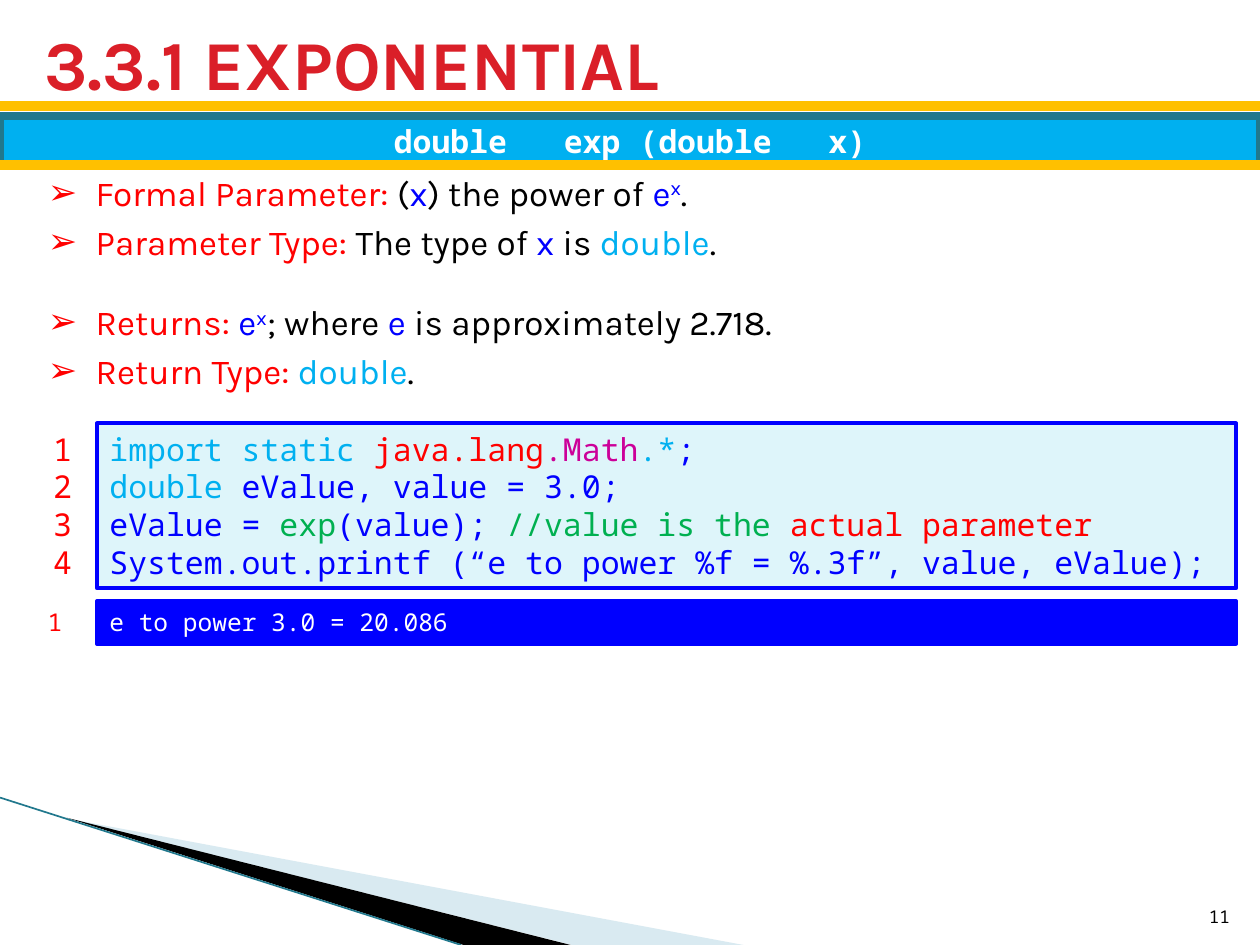
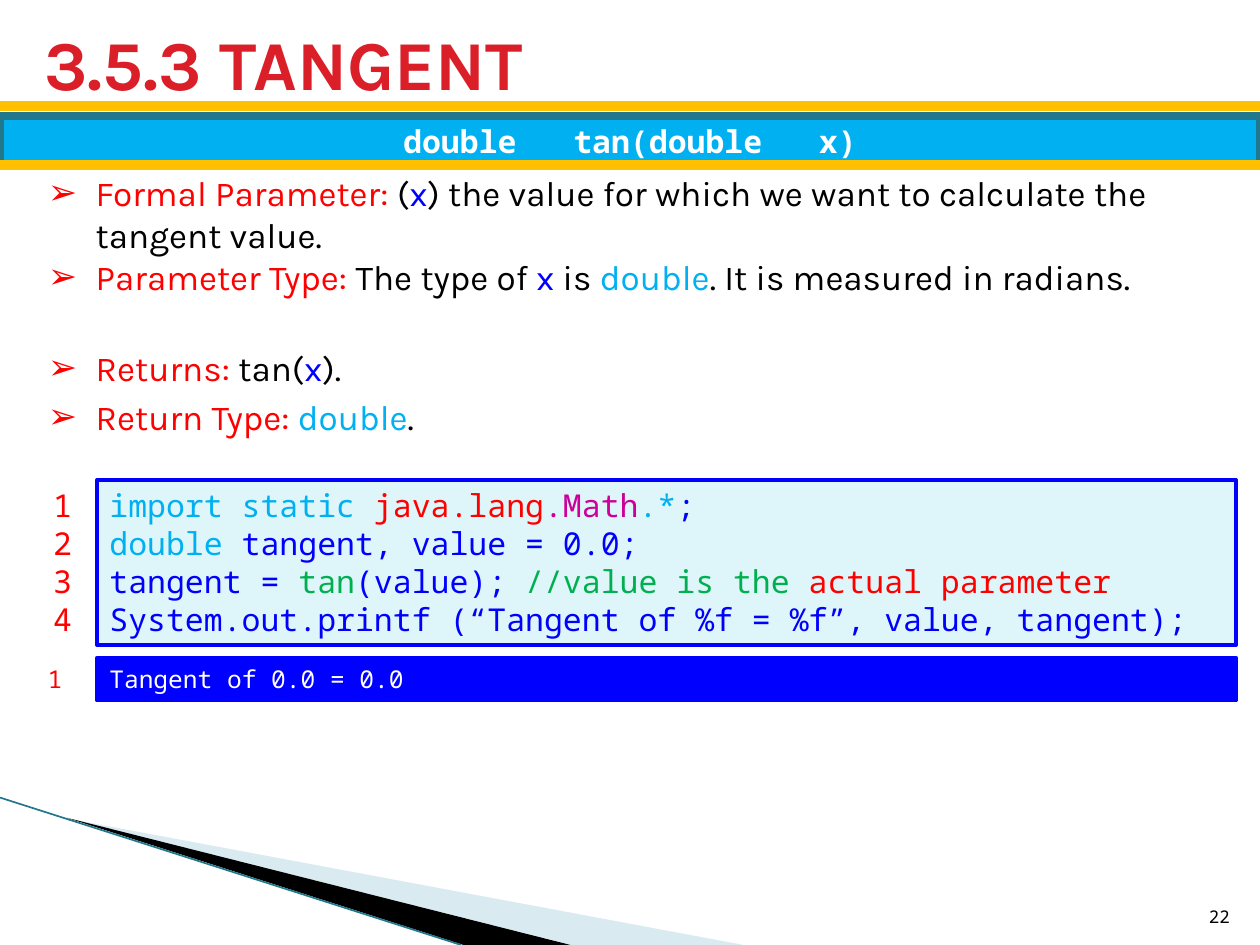
from dataclasses import dataclass

from lxml.etree import SubElement
from pptx import Presentation
from pptx.dml.color import RGBColor
from pptx.enum.shapes import MSO_CONNECTOR as Connector, MSO_SHAPE as Shape
from pptx.enum.text import MSO_ANCHOR as Anchor, MSO_AUTO_SIZE as AutoSize, PP_ALIGN as Align
from pptx.oxml.ns import qn
from pptx.util import Inches, Pt


@dataclass(frozen=True)
class Theme:
    red: str = "FF0000"
    blue: str = "0000FF"
    sky: str = "00B0F0"
    green: str = "00B050"
    purple: str = "CC0099"
    black: str = "000000"
    white: str = "FFFFFF"
    title: str = "DA1F28"
    gold: str = "FFC000"
    teal: str = "21788D"
    code_fill: str = "DEF5FA"
    wedge: str = "A0CBDC"
    heading_font: str = "Karla"
    code_font: str = "Noto Sans Mono"
    title_size: int = 40
    body_size: int = 20
    code_size: int = 18
    output_size: int = 14
    number_size: int = 10


THEME = Theme()
SLIDE_WIDTH, SLIDE_HEIGHT = 10, 7.5


def rgb(value):
    return RGBColor.from_string(value)


def inches(*lengths):
    return [Inches(length) for length in lengths]


def add_spans(para, spans, font, size, bold=False):
    for text, color, *raised in spans:
        span = para.add_run()
        span.text = text
        span.font.name = font
        span.font.size = Pt(size)
        span.font.bold = bold
        span.font.color.rgb = rgb(color)
        if raised:
            span._r.get_or_add_rPr().set("baseline", "30000")


def write_text(box, paragraphs, font=THEME.code_font, size=THEME.code_size, bold=False,
               align=Align.LEFT, anchor=Anchor.TOP, gaps=None, bullet=None):
    frame = box.text_frame
    frame.word_wrap = True
    frame.auto_size = AutoSize.NONE
    frame.vertical_anchor = anchor
    for index, spans in enumerate(paragraphs):
        para = frame.add_paragraph() if index else frame.paragraphs[0]
        if bullet:
            add_bullet(para, bullet)
        para.alignment = align
        para.space_before = Pt(gaps[index] if gaps else 0)
        add_spans(para, spans, font, size, bold)


def add_bullet(para, symbol, indent=0.38):
    properties = para._p.get_or_add_pPr()
    properties.set("marL", str(Inches(indent)))
    properties.set("indent", str(-Inches(indent)))
    color = SubElement(properties, qn("a:buClr"))
    SubElement(color, qn("a:srgbClr")).set("val", THEME.red)
    SubElement(properties, qn("a:buChar")).set("char", symbol)


def add_line(page, start, end, color, width):
    line = page.shapes.add_connector(Connector.STRAIGHT, *inches(*start, *end))
    line.line.color.rgb = rgb(color)
    line.line.width = Pt(width)
    SubElement(line._element.spPr, qn("a:effectLst"))


def add_panel(shapes, place, fill, border, border_width):
    panel = shapes.add_shape(Shape.RECTANGLE, *inches(*place))
    panel.shadow.inherit = False
    panel.fill.solid()
    panel.fill.fore_color.rgb = rgb(fill)
    panel.line.color.rgb = rgb(border)
    panel.line.width = Pt(border_width)
    return panel


def add_wedge(page, points, color, opacity=100):
    start, *rest = [tuple(inches(*point)) for point in points]
    builder = page.shapes.build_freeform(*start)
    builder.add_line_segments(rest, close=True)
    wedge = builder.convert_to_shape()
    wedge.shadow.inherit = False
    wedge.line.fill.background()
    wedge.fill.solid()
    wedge.fill.fore_color.rgb = rgb(color)
    if opacity < 100:
        color_node = wedge._element.spPr.find(qn("a:solidFill"))[0]
        SubElement(color_node, qn("a:alpha")).set("val", str(opacity * 1000))


def add_corner_decoration(page):
    add_wedge(page, [(0.55, 6.5), (5.9, SLIDE_HEIGHT), (4.54, SLIDE_HEIGHT)], THEME.wedge, 40)
    add_wedge(page, [(0.53, 6.49), (4.53, SLIDE_HEIGHT), (3.68, SLIDE_HEIGHT)], THEME.black)
    add_line(page, (0, 6.33), (3.66, SLIDE_HEIGHT), THEME.teal, 0.95)


def place(box, left, top, width, height):
    box.left, box.top, box.width, box.height = inches(left, top, width, height)


def add_header(page, title, signature):
    place(page.shapes.title, 0.25, 0.17, 9.47, 0.65)
    write_text(page.shapes.title, [[(title, THEME.title)]], font=THEME.heading_font,
               size=THEME.title_size, bold=True, anchor=Anchor.MIDDLE)
    add_line(page, (0, 0.84), (SLIDE_WIDTH, 0.84), THEME.gold, 6)
    band = add_panel(page.shapes, (0, 0.92, SLIDE_WIDTH, 0.39), THEME.sky, THEME.teal, 4.33)
    write_text(band, [[(signature, THEME.white)]], bold=True,
               align=Align.CENTER, anchor=Anchor.MIDDLE)
    add_line(page, (0, 1.31), (SLIDE_WIDTH, 1.31), THEME.gold, 6)


def add_facts(page, facts, gaps, height):
    body = page.placeholders[1]
    place(body, 0.28, 1.31, 9.45, height)
    write_text(body, facts, font=THEME.heading_font, size=THEME.body_size, gaps=gaps, bullet="➢")


def add_numbered_block(page, lines, top, height, fill, number_left, number_width,
                       number_align, size):
    group = page.shapes.add_group_shape()
    panel = add_panel(group.shapes, (0.77, top, 9.04, height), fill, THEME.blue, 2.25)
    write_text(panel, lines, size=size)
    numbers = group.shapes.add_textbox(*inches(number_left, top, number_width, height))
    labels = [[(str(number), THEME.red)] for number in range(1, len(lines) + 1)]
    write_text(numbers, labels, size=size, align=number_align)


def add_example(page, top, code, output):
    add_numbered_block(page, code, top, 1.31, THEME.code_fill, 0.2, 0.47,
                       Align.RIGHT, THEME.code_size)
    add_numbered_block(page, [[(output, THEME.white)]], top + 1.41, 0.34, THEME.blue, 0.28, 0.27,
                       Align.LEFT, THEME.output_size)


def add_page_number(page, number):
    box = page.shapes.add_textbox(*inches(9.46, 7.01, 0.4, 0.4))
    write_text(box, [[(str(number), THEME.black)]], size=THEME.number_size,
               align=Align.RIGHT, anchor=Anchor.BOTTOM)


def math_code(variable, function, value, print_call):
    return [
        [("import static ", THEME.sky), ("java.lang", THEME.red), (".Math", THEME.purple),
         (".*", THEME.sky), (";", THEME.blue)],
        [("double ", THEME.sky), (f"{variable}, value = {value};", THEME.blue)],
        [(f"{variable} = ", THEME.blue), (function, THEME.green), ("(value); ", THEME.blue),
         ("//value is the ", THEME.green), ("actual parameter", THEME.red)],
        [(print_call, THEME.blue)],
    ]


def function_facts(parameter, type_ending, returns):
    return [
        [("Formal Parameter:", THEME.red), (" (", THEME.black), ("x", THEME.blue), *parameter],
        [("Parameter Type:", THEME.red), (" The type of ", THEME.black), ("x", THEME.blue),
         (" is ", THEME.black), ("double", THEME.sky), (type_ending, THEME.black)],
        [("Returns: ", THEME.red), *returns],
        [("Return Type: ", THEME.red), ("double", THEME.sky), (".", THEME.black)],
    ]


def add_function_slide(deck, number, title, signature, facts, gaps, facts_height,
                       code_top, code, output):
    page = deck.slides.add_slide(deck.slide_layouts[1])
    add_corner_decoration(page)
    add_header(page, title, signature)
    add_facts(page, facts, gaps, facts_height)
    add_example(page, code_top, code, output)
    add_page_number(page, number)


def main():
    deck = Presentation()
    deck.slide_width, deck.slide_height = inches(SLIDE_WIDTH, SLIDE_HEIGHT)
    power = [("e", THEME.blue), ("x", THEME.blue, True)]
    add_function_slide(
        deck, 11, "3.3.1 EXPONENTIAL", "double   exp (double   x)",
        facts=function_facts(
            [(") the power of ", THEME.black), *power, (".", THEME.black)], ".",
            [*power, ("; where ", THEME.black), ("e", THEME.blue),
             (" is approximately 2.718.", THEME.black)]),
        gaps=(0, 4, 22, 4), facts_height=1.86, code_top=3.36,
        code=math_code("eValue", "exp", "3.0",
                       "System.out.printf (“e to power %f = %.3f”, value, eValue);"),
        output="e to power 3.0 = 20.086")
    add_function_slide(
        deck, 22, "3.5.3 TANGENT", "double   tan(double   x)",
        facts=function_facts(
            [(") the value for which we want to calculate the tangent value.", THEME.black)],
            ". It is measured in radians.",
            [("tan(", THEME.black), ("x", THEME.blue), (").", THEME.black)]),
        gaps=(0, 0, 28, 4), facts_height=2.21, code_top=3.81,
        code=math_code("tangent", "tan", "0.0",
                       "System.out.printf (“Tangent of %f = %f”, value, tangent);"),
        output="Tangent of 0.0 = 0.0")
    deck.save("out.pptx")


if __name__ == "__main__":
    main()
